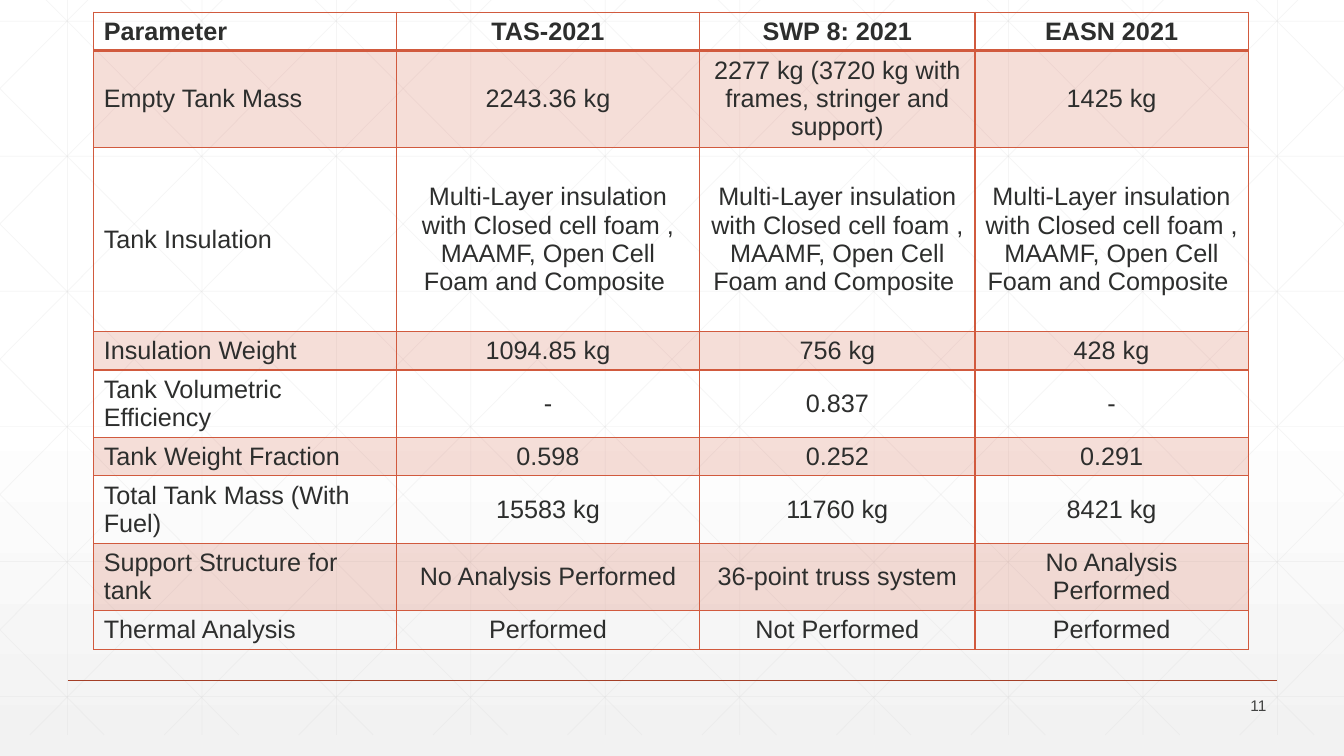
from pptx import Presentation
from pptx.dml.color import RGBColor
from pptx.enum.shapes import MSO_CONNECTOR
from pptx.enum.text import MSO_ANCHOR, PP_ALIGN
from pptx.oxml.ns import qn
from pptx.oxml.xmlchemy import OxmlElement
from pptx.util import Inches, Pt

STRAIGHT = MSO_CONNECTOR.STRAIGHT
MIDDLE = MSO_ANCHOR.MIDDLE
LEFT, CENTER, RIGHT = PP_ALIGN.LEFT, PP_ALIGN.CENTER, PP_ALIGN.RIGHT

WHITE = RGBColor(0xFF, 0xFF, 0xFF)
PALE_GRAY = RGBColor(0xF2, 0xF2, 0xF2)
GRID_GRAY = RGBColor(0xD9, 0xD9, 0xD9)
RUST = RGBColor(0xA4, 0x3F, 0x27)
ORANGE = RGBColor(0xD1, 0x5A, 0x3E)
INK = RGBColor(0x2D, 0x2E, 0x2D)
NUMBER_GRAY = RGBColor(0x42, 0x43, 0x42)

WIDTH, HEIGHT = 13.33, 7.5
GRID_TOP, GRID_BOTTOM = -0.21, 7.29
GRID_STEP = 4 / 3
DIAGONAL_RUN = 7.45

INSULATION = ("Multi-Layer insulation with Closed cell foam , MAAMF, "
              "Open Cell Foam and Composite ")
COLUMN_WIDTHS = [3, 3.01, 2.73, 2.71]
TANK_ROWS = [
    (0.38, "Parameter", "TAS-2021", "SWP 8: 2021", "EASN 2021"),
    (0.96, "Empty Tank Mass", "2243.36 kg",
     "2277 kg (3720 kg with frames, stringer and support)", "1425 kg"),
    (1.83, "Tank Insulation", INSULATION, INSULATION, INSULATION),
    (0.38, "Insulation Weight", "1094.85 kg", "756 kg", "428 kg"),
    (0.67, "Tank Volumetric Efficiency", "-", "0.837", "-"),
    (0.38, "Tank Weight Fraction", "0.598", "0.252", "0.291"),
    (0.67, "Total Tank Mass (With Fuel)", "15583 kg", "11760 kg", "8421 kg"),
    (0.67, "Support Structure for tank", "No Analysis Performed",
     "36-point truss system", "No Analysis Performed"),
    (0.38, "Thermal Analysis", "Performed", "Not Performed", "Performed"),
]


def add_child(parent, tag, **attributes):
    """Append an XML element with the given attributes and return it."""
    child = OxmlElement(tag)
    for key, value in attributes.items():
        child.set(key, str(value))
    parent.append(child)
    return child


def set_opacity(element, percent):
    """Make the first solid colour inside an element translucent."""
    color = next(element.iter(qn("a:srgbClr")))
    add_child(color, "a:alpha", val=percent * 1000)


class SlideBuilder:
    """Holds the current slide and its text style."""

    font_name = "Arial"

    def __init__(self, slide):
        """Keep the slide that is drawn on."""
        self.slide = slide

    def background(self, stops):
        """Fill the background with a gradient from top to bottom."""
        fill = self.slide.background.fill
        fill.gradient()
        fill.gradient_angle = 270
        stop_list = next(self.slide.element.iter(qn("a:gsLst")))
        stop_list.clear()
        for percent, color in stops:
            stop = add_child(stop_list, "a:gs", pos=percent * 1000)
            add_child(stop, "a:srgbClr", val=color)

    def line(self, start, end, color, width, opacity=100):
        """Draw a straight line between two points."""
        points = [Inches(value) for value in (*start, *end)]
        connector = self.slide.shapes.add_connector(STRAIGHT, *points)
        connector.line.color.rgb = color
        connector.line.width = Pt(width)
        properties = connector.element.spPr
        if opacity < 100:
            set_opacity(properties, opacity)
        add_child(properties, "a:effectLst")

    def set_text(self, frame, text, size, color, align, bold=False):
        """Put one styled paragraph into a text frame."""
        frame.text = text
        frame.word_wrap = True
        paragraph = frame.paragraphs[0]
        paragraph.alignment = align
        font = paragraph.font
        font.name, font.size, font.bold = self.font_name, Pt(size), bold
        font.color.rgb = color

    def text(self, box, text, size, color, align):
        """Add a vertically centred text box."""
        frame = self.slide.shapes.add_textbox(*map(Inches, box)).text_frame
        frame.vertical_anchor = MIDDLE
        self.set_text(frame, text, size, color, align)

    def border(self, cell, side, width):
        """Draw one border of a table cell."""
        edge = add_child(cell._tc.get_or_add_tcPr(), f"a:ln{side}", w=int(Pt(width)))
        add_child(add_child(edge, "a:solidFill"), "a:srgbClr", val=ORANGE)

    def table(self, left, top, widths, rows):
        """Add a bordered table with a bold header and tinted odd rows."""
        heights = [row[0] for row in rows]
        box = map(Inches, (left, top, sum(widths), sum(heights)))
        table = self.slide.shapes.add_table(len(rows), len(widths), *box).table
        table.first_row = table.horz_banding = False
        for column, width in zip(table.columns, widths):
            column.width = Inches(width)
        for r, (height, *texts) in enumerate(rows):
            table.rows[r].height = Inches(height)
            for c, text in enumerate(texts):
                cell = table.cell(r, c)
                cell.vertical_anchor = MIDDLE
                self.set_text(cell.text_frame, text, 18, INK,
                              CENTER if c else LEFT, bold=r == 0)
                for side in "LRTB":
                    under_header = (r, side) in ((0, "B"), (1, "T"))
                    self.border(cell, side, 2 if under_header else 1)
                if r % 2:
                    cell.fill.solid()
                    cell.fill.fore_color.rgb = ORANGE
                    set_opacity(cell._tc.tcPr.find(qn("a:solidFill")), 20)
                else:
                    cell.fill.background()

    def grid(self):
        """Draw the faint square grid with diagonals in both directions."""
        style = (GRID_GRAY, 0.5, 25)
        for i in range(10):
            x = 0.67 + i * GRID_STEP
            self.line((x, GRID_TOP), (x, GRID_BOTTOM), *style)
        for i in range(6):
            y = 0.21 + i * 1.34
            self.line((0, y), (WIDTH, y), *style)
        slope = (GRID_BOTTOM - GRID_TOP) / DIAGONAL_RUN
        for i in range(-5, 10):
            x = 0.25 + i * GRID_STEP
            x1, x2 = max(x, 0), min(x + DIAGONAL_RUN, WIDTH)
            y1, y2 = (GRID_TOP + (end - x) * slope for end in (x1, x2))
            self.line((x1, y1), (x2, y2), *style)
            self.line((WIDTH - x1, y1), (WIDTH - x2, y2), *style)


def main():
    """Build the tank comparison slide."""
    deck = Presentation()
    deck.slide_width, deck.slide_height = Inches(WIDTH), Inches(HEIGHT)
    builder = SlideBuilder(deck.slides.add_slide(deck.slide_layouts[6]))
    builder.background([(0, WHITE), (53, WHITE), (100, PALE_GRAY)])
    builder.grid()
    builder.line((0.67, 6.75), (12.67, 6.75), RUST, 1)
    builder.table(0.93, 0.12, COLUMN_WIDTHS, TANK_ROWS)
    builder.text((11.66, 6.88, 1, 0.24), "11", 11, NUMBER_GRAY, RIGHT)
    deck.save("out.pptx")


main()
